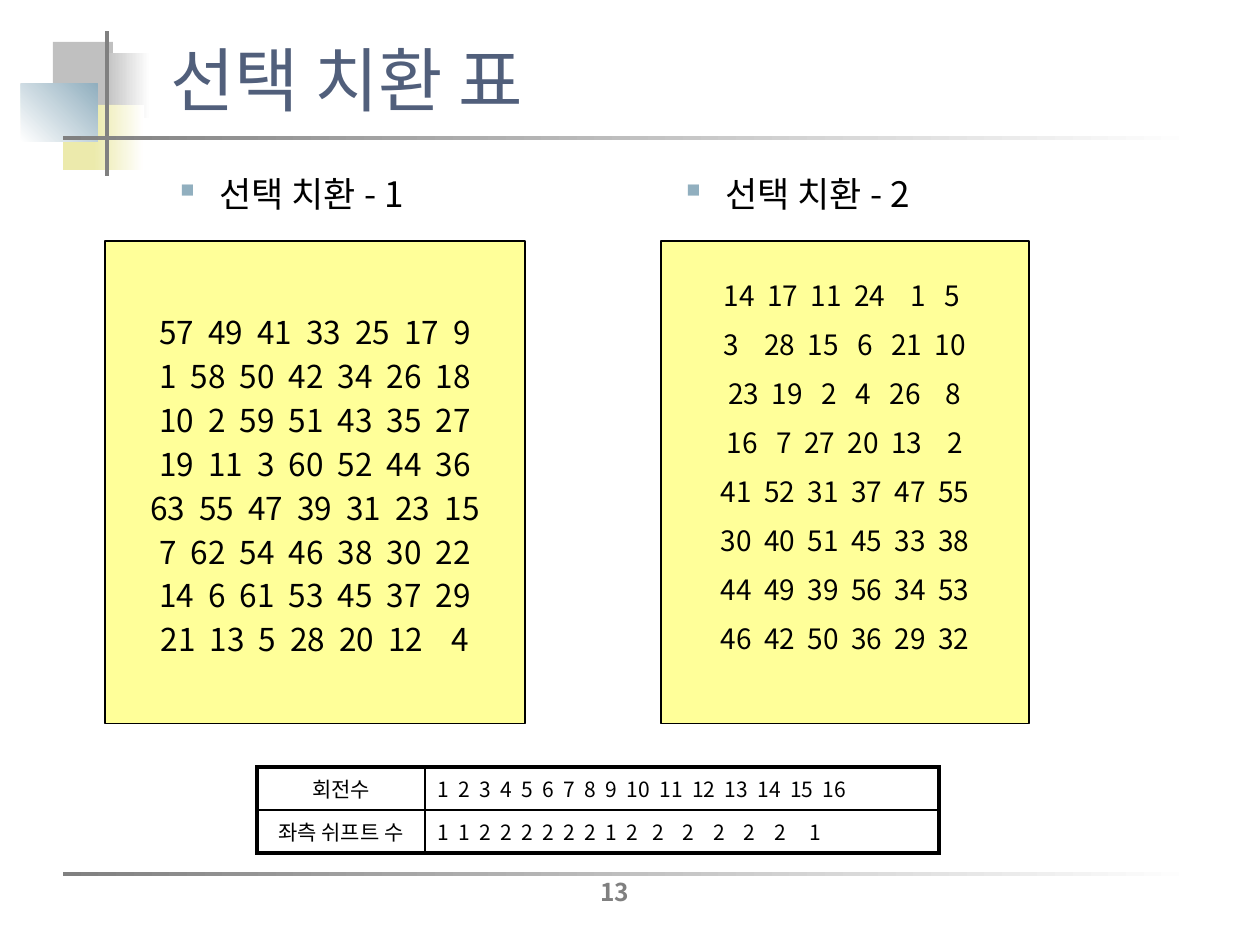
from pptx import Presentation
from pptx.dml.color import RGBColor as RGB
from pptx.enum.shapes import MSO_SHAPE as Kind
from pptx.enum.text import MSO_ANCHOR as Anchor, PP_ALIGN as Align
from pptx.oxml import parse_xml
from pptx.oxml.ns import nsdecls
from pptx.util import Emu, Pt

SCALE = 914400 // 126
FONT = "Noto Sans CJK KR"
HUES = {
    "ink": "000000", "white": "FFFFFF", "gray": "808080", "silver": "C0C0C0",
    "sand": "ECEAAC", "blue": "91AFBF", "navy": "515F7B", "lemon": "FFFF99",
}
DECOR = [
    ((53, 42, 60, 65), ["silver"], 0),
    ((105, 53, 45, 65), ["silver", "white"], 0),
    ((63, 105, 58, 65), ["sand"], 0),
    ((94, 105, 50, 65), ["sand", "white"], 0),
    ((21, 84, 77, 58), ["white", "blue"], 45),
    ((105, 31, 4, 145), ["gray"], 0),
    ((63, 136, 1134, 4), ["gray", "white"], 0),
    ((63, 872, 1134, 4), ["gray", "white"], 0),
]
FIRST = [
    "57  49  41  33  25  17  9",
    "1  58  50  42  34  26  18",
    "10  2  59  51  43  35  27",
    "19  11  3  60  52  44  36",
    "63  55  47  39  31  23  15",
    "7  62  54  46  38  30  22",
    "14  6  61  53  45  37  29",
    "21  13  5  28  20  12    4",
]
SECOND = [
    "14  17  11  24    1   5 ",
    "3    28  15   6   21  10",
    "23  19   2   4   26    8",
    "16   7  27  20  13    2",
    "41  52  31  37  47  55",
    "30  40  51  45  33  38",
    "44  49  39  56  34  53",
    "46  42  50  36  29  32",
]
SHIFTS = [
    ("회전수", "1  2  3  4  5  6  7  8  9  10  11  12  13  14  15  16"),
    ("좌측 쉬프트 수", "1  1  2  2  2  2  2  2  1  2   2    2    2    2    2     1"),
]


def px(num):
    """Turn pixels into EMU."""
    return Emu(num * SCALE)


def hue(name):
    """Look up a colour."""
    return RGB.from_string(HUES[name])


def write(para, text, size, tint="ink", bold=False, align=Align.LEFT):
    """Add one run to a paragraph."""
    para.alignment = align
    run = para.add_run()
    run.text = text
    font = run.font
    font.size, font.bold, font.name = Pt(size), bold, FONT
    font.color.rgb = hue(tint)
    props = run._r.get_or_add_rPr()
    props.append(parse_xml(f'<a:ea {nsdecls("a")} typeface="{FONT}"/>'))


def block(slide, box, tints, angle=0):
    """Draw a rectangle with a plain or graded fill and no line."""
    shape = slide.shapes.add_shape(Kind.RECTANGLE, *map(px, box))
    shape.shadow.inherit = False
    shape.line.fill.background()
    fill = shape.fill
    if len(tints) == 1:
        fill.solid()
        fill.fore_color.rgb = hue(tints[0])
    else:
        fill.gradient()
        fill.gradient_angle = angle
        for stop, tint in zip(fill.gradient_stops, tints):
            stop.color.rgb = hue(tint)
    return shape


def label(slide, box, anchor=Anchor.TOP):
    """Add a text box and return its first paragraph."""
    frame = slide.shapes.add_textbox(*map(px, box)).text_frame
    frame.word_wrap = True
    frame.vertical_anchor = anchor
    return frame.paragraphs[0]


def head(slide, box, text):
    """Add a bulleted heading."""
    para = label(slide, box)
    para.line_spacing = Pt(23)
    write(para, text, 20)
    props = para._p.get_or_add_pPr()
    props.set("marL", str(px(102)))
    props.set("indent", str(px(-39)))
    for part in (
        f'<a:buClr {nsdecls("a")}><a:srgbClr val="{HUES["blue"]}"/></a:buClr>',
        f'<a:buSzPct {nsdecls("a")} val="55000"/>',
        f'<a:buFont {nsdecls("a")} typeface="Wingdings" charset="2"/>',
        f'<a:buChar {nsdecls("a")} char="n"/>',
    ):
        props.append(parse_xml(part))


def panel(slide, box, rows, size, pitch, foot):
    """Draw a yellow panel with centred rows of numbers."""
    shape = block(slide, box, ["lemon"])
    shape.line.color.rgb = hue("ink")
    shape.line.width = Pt(0.75)
    frame = shape.text_frame
    frame.word_wrap = False
    frame.vertical_anchor = Anchor.MIDDLE
    frame.margin_bottom = px(foot)
    for i, row in enumerate(rows):
        para = frame.add_paragraph() if i else frame.paragraphs[0]
        para.line_spacing = Pt(pitch)
        write(para, row, size, align=Align.CENTER)


def edge(cell, side, width):
    """Add one border line to a cell."""
    cell._tc.get_or_add_tcPr().append(parse_xml(
        f'<a:ln{side} {nsdecls("a")} w="{Pt(width)}"><a:solidFill>'
        f'<a:srgbClr val="{HUES["ink"]}"/></a:solidFill></a:ln{side}>'))


def grid(slide, box, cols, rows):
    """Add the shift table with a thick frame and thin inner lines."""
    shape = slide.shapes.add_table(len(rows), len(cols), *map(px, box))
    table = shape.table
    table.first_row = table.horz_banding = False
    for col, width in zip(table.columns, cols):
        col.width = px(width)
    for r, row in enumerate(rows):
        table.rows[r].height = px(box[3] // len(rows))
        for c, text in enumerate(row):
            cell = table.cell(r, c)
            cell.vertical_anchor = Anchor.MIDDLE
            outer = {"L": c == 0, "R": c == len(cols) - 1,
                     "T": r == 0, "B": r == len(rows) - 1}
            for side, thick in outer.items():
                edge(cell, side, 2.25 if thick else 1)
            cell.fill.background()
            align = Align.LEFT if c else Align.CENTER
            write(cell.text_frame.paragraphs[0], text, 12, align=align)


def main():
    """Build the slide and save it."""
    deck = Presentation()
    deck.slide_width, deck.slide_height = px(1260), px(945)
    slide = deck.slides.add_slide(deck.slide_layouts[6])
    for box, tints, angle in DECOR:
        block(slide, box, tints, angle)
    page = label(slide, (536, 850, 158, 63), Anchor.BOTTOM)
    write(page, "13", 14, "gray", True, Align.CENTER)
    panel(slide, (661, 241, 368, 483), SECOND, 16, 28, 52)
    panel(slide, (105, 241, 420, 483), FIRST, 18, 25.1, 6)
    head(slide, (105, 168, 525, 53), "선택 치환 - 1")
    head(slide, (611, 168, 503, 53), "선택 치환 - 2")
    title = label(slide, (158, 21, 966, 116), Anchor.MIDDLE)
    write(title, "선택 치환 표", 40, "navy")
    grid(slide, (257, 767, 682, 86), (168, 514), SHIFTS)
    deck.save("out.pptx")


main()
